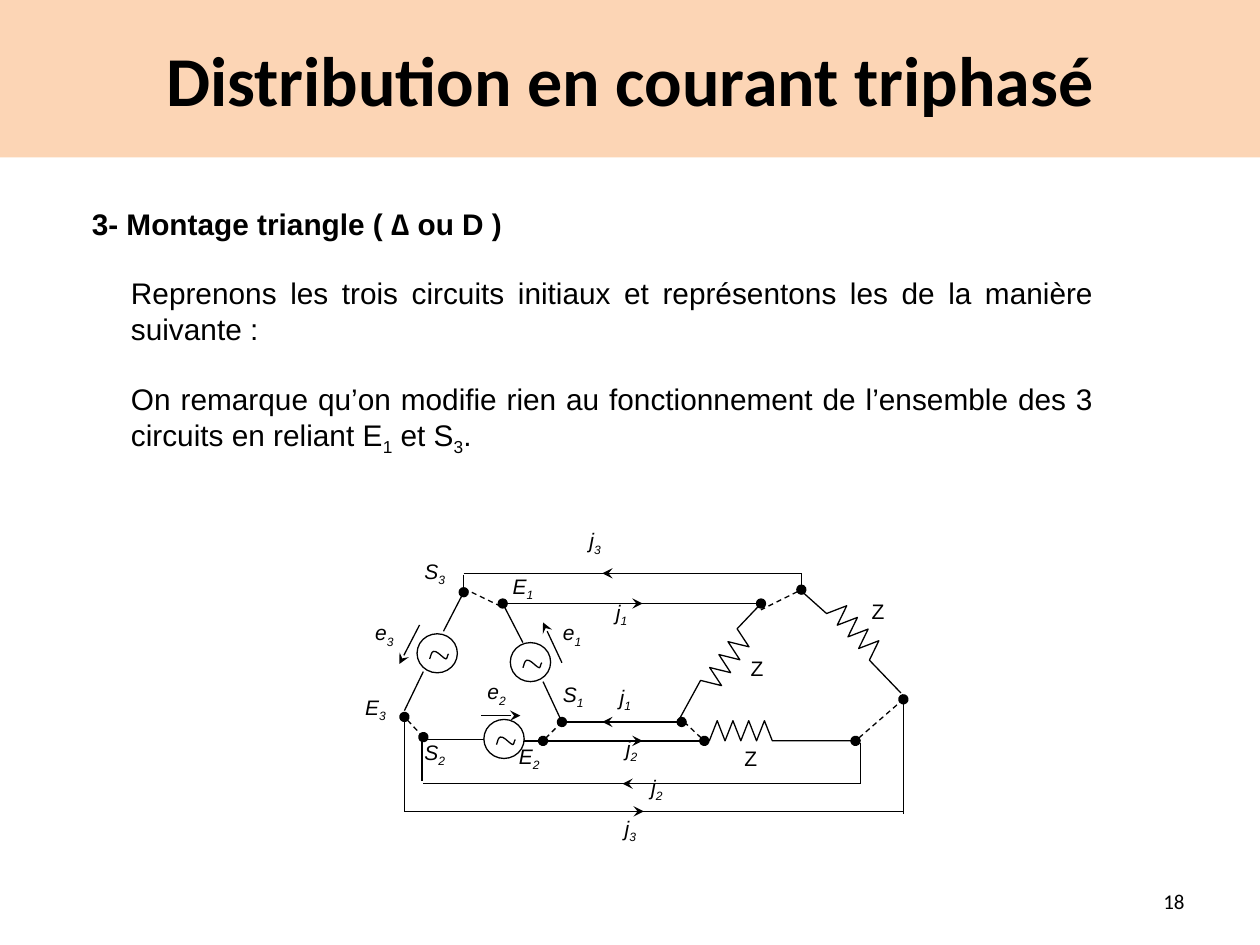
from dataclasses import dataclass
from math import hypot

from lxml.etree import SubElement
from pptx import Presentation
from pptx.dml.color import RGBColor
from pptx.enum.dml import MSO_LINE
from pptx.enum.shapes import MSO_CONNECTOR, MSO_SHAPE
from pptx.enum.text import MSO_ANCHOR, PP_ALIGN
from pptx.oxml.ns import qn
from pptx.util import Cm, Pt


@dataclass(frozen=True)
class Theme:
    ink: RGBColor = RGBColor(0x00, 0x00, 0x00)
    paper: RGBColor = RGBColor(0xFF, 0xFF, 0xFF)
    banner: RGBColor = RGBColor(0xFC, 0xD5, 0xB5)
    heading_font: str = "Calibri"
    body_font: str = "Arial"
    title_size: int = 40
    body_size: int = 17
    label_size: int = 12
    line_width: float = 0.75


@dataclass(frozen=True)
class Wire:
    x1: float
    y1: float
    x2: float
    y2: float
    head: str = ""
    tail: str = ""
    dashed: bool = False


@dataclass(frozen=True)
class Label:
    text: str  # every second part between bars is a subscript
    x: float
    y: float
    w: float = 0.63
    h: float = 0.47
    italic: bool = True


@dataclass(frozen=True)
class Resistor:
    start: tuple
    first: tuple  # where the zigzag begins
    last: tuple  # where the zigzag ends
    end: tuple


THEME = Theme()
TEETH, TOOTH_HEIGHT = 4, 0.16
SOURCE_W, SOURCE_H = 0.32, 0.31


def inch(*values: float) -> list:
    """Diagram units (inches) to lengths."""
    return [Cm(v * 2.54) for v in values]


def write(p, text: str, **fmt) -> None:
    for i, part in enumerate(text.split("|")):
        r = p.add_run()
        r.text = part
        for name, value in fmt.items():
            setattr(r.font, name, value)
        r.font.color.rgb = THEME.ink
        if i % 2:
            r._r.get_or_add_rPr().set("baseline", "-25000")


def add_text(shapes, x: float, y: float, w: float, h: float):
    tf = shapes.add_textbox(*inch(x, y, w, h)).text_frame
    tf.word_wrap = True
    return tf


def set_line(sp) -> None:
    sp.line.color.rgb = THEME.ink
    sp.line.width = Pt(THEME.line_width)


def add_wire(shapes, wire: Wire) -> None:
    sp = shapes.add_connector(MSO_CONNECTOR.STRAIGHT, *inch(wire.x1, wire.y1, wire.x2, wire.y2))
    set_line(sp)
    if wire.dashed:
        sp.line.dash_style = MSO_LINE.DASH
    spPr = sp._element.spPr
    for tag, kind in (("a:headEnd", wire.head), ("a:tailEnd", wire.tail)):
        if kind:
            SubElement(spPr.find(qn("a:ln")), qn(tag), type=kind)
    SubElement(spPr, qn("a:effectLst"))


def add_path(shapes, points: list) -> None:
    pts = [tuple(inch(*pt)) for pt in points]
    builder = shapes.build_freeform(*pts[0])
    builder.add_line_segments(pts[1:], close=False)
    sp = builder.convert_to_shape()
    sp.shadow.inherit = False
    sp.fill.background()
    set_line(sp)


def add_resistor(shapes, res: Resistor) -> None:
    (x, y), (x2, y2) = res.first, res.last
    dx, dy = x2 - x, y2 - y
    k = TOOTH_HEIGHT / hypot(dx, dy)
    zigzag = []
    for i in range(2 * TEETH + 1):
        t, peak = i / (2 * TEETH), k * (i % 2)
        zigzag.append((x + dx * t + dy * peak, y + dy * t - dx * peak))
    add_path(shapes, [res.start, *zigzag, res.end])


def add_source(shapes, x: float, y: float) -> None:
    sp = shapes.add_shape(MSO_SHAPE.OVAL, *inch(x, y, SOURCE_W, SOURCE_H))
    sp.shadow.inherit = False
    sp.fill.solid()
    sp.fill.fore_color.rgb = THEME.paper
    set_line(sp)
    # Sine mark: three Bezier arcs sampled at even steps
    ctrl = [(.10, .20), (.11, .18), (.11, .15), (.13, .14), (.16, .13), (.21, .20),
            (.23, .20), (.24, .20), (.24, .17), (.25, .16)]
    wave = [(x + ctrl[0][0], y + ctrl[0][1])]
    for i in (0, 3, 6):
        for t in (0.2, 0.4, 0.6, 0.8, 1):
            weights = ((1 - t) ** 3, 3 * t * (1 - t) ** 2, 3 * t * t * (1 - t), t ** 3)
            px, py = (sum(w * c[n] for w, c in zip(weights, ctrl[i:i + 4])) for n in (0, 1))
            wave.append((x + px, y + py))
    add_path(shapes, wave)


WIRES = [
    # Line currents and returns
    Wire(3.68, 4.55, 6.36, 4.55), Wire(3.68, 4.56, 3.68, 4.72), Wire(6.36, 4.55, 6.36, 4.71),
    Wire(3.99, 4.79, 6.04, 4.79, "oval", "oval"),
    Wire(4.47, 5.73, 5.41, 5.73, tail="oval"),
    Wire(4.15, 5.88, 5.57, 5.88),
    Wire(6.83, 5.9, 6.83, 6.22), Wire(3.35, 5.88, 3.35, 6.2), Wire(3.36, 6.22, 6.83, 6.22),
    Wire(7.17, 6.44, 3.21, 6.44), Wire(3.21, 5.66, 3.21, 6.44), Wire(7.17, 5.52, 7.17, 6.46),
    # Leads of the sources
    Wire(3.68, 4.7, 3.52, 5.01, head="oval"), Wire(3.36, 5.33, 3.21, 5.64),
    Wire(3.99, 4.79, 4.15, 5.1), Wire(4.31, 5.41, 4.46, 5.73, tail="oval"),
    Wire(3.36, 5.87, 3.84, 5.87),
    # Links between neighbouring circuits
    Wire(3.21, 5.69, 3.36, 5.85, "oval", "oval", True),
    Wire(6.79, 5.88, 7.17, 5.55, "oval", "oval", True),
    Wire(3.68, 4.67, 3.99, 4.82, dashed=True),
    Wire(6.36, 4.68, 6.04, 4.84, head="oval", dashed=True),
    Wire(4.46, 5.73, 4.31, 5.88, tail="oval", dashed=True),
    Wire(5.43, 5.73, 5.59, 5.88, tail="oval", dashed=True),
]
# Directions of currents and voltages
ARROWS = [(5.72, 6.22, 4.94, 6.22), (4.47, 5.88, 5.1, 5.88), (3.82, 5.68, 4.13, 5.68),
          (3.33, 4.96, 3.17, 5.27), (4.46, 5.26, 4.31, 4.94), (4.62, 4.79, 5.1, 4.79),
          (5.25, 4.55, 4.78, 4.55), (4.48, 6.44, 5.11, 6.44), (5.25, 5.73, 4.78, 5.73)]
RESISTORS = [
    Resistor((6.37, 4.7), (6.56, 4.87), (6.9, 5.24), (7.15, 5.5)),
    Resistor((6.04, 4.79), (5.85, 4.99), (5.56, 5.4), (5.39, 5.71)),
    Resistor((5.57, 5.88), (5.63, 5.88), (6.13, 5.88), (6.83, 5.88)),
]
SOURCES = [(3.31, 5.03), (4.05, 5.1), (3.84, 5.71)]
LABELS = [
    Label("j|3", 4.58, 4.14), Label("j|1", 4.79, 4.71), Label("j|1", 4.82, 5.38),
    Label("j|3", 4.86, 6.42), Label("j|2", 5.07, 6.1), Label("j|2", 4.87, 5.79),
    Label("E|1", 3.97, 4.5), Label("E|2", 4.02, 5.85), Label("E|3", 2.8, 5.46),
    Label("S|1", 4.37, 5.36), Label("S|2", 3.27, 5.82), Label("S|3", 3.27, 4.38),
    Label("e|1", 4.37, 4.87), Label("e|2", 3.77, 5.34), Label("e|3", 2.88, 4.87),
    Label("Z", 5.86, 5.15, 0.47, italic=False), Label("Z", 6.82, 4.7, 0.47, italic=False),
    Label("Z", 5.81, 5.87, 0.58, 0.36, italic=False),
]
BODY = [
    "3- Montage triangle ( ∆ ou D )",
    "Reprenons les trois circuits initiaux et représentons les de la manière suivante\u00a0:",
    "On remarque qu’on modifie rien au fonctionnement de l’ensemble des 3 circuits "
    "en reliant E|1| et S|3|.",
]


def main() -> None:
    prs = Presentation()
    prs.slide_width, prs.slide_height = inch(10, 7.5)
    s = prs.slides.add_slide(prs.slide_layouts[5])

    # Title banner
    title = s.shapes.title
    title.left, title.top, title.width, title.height = inch(0, 0, 10, 1.25)
    title.fill.solid()
    title.fill.fore_color.rgb = THEME.banner
    title.text_frame.vertical_anchor = MSO_ANCHOR.MIDDLE
    p = title.text_frame.paragraphs[0]
    p.alignment = PP_ALIGN.CENTER
    write(p, "Distribution en courant triphasé", name=THEME.heading_font,
          size=Pt(THEME.title_size), bold=True)

    # Body: a bold heading, then indented paragraphs one line apart
    tf = add_text(s.shapes, 0.63, 1.58, 8.15, 2.68)
    for i, text in enumerate(BODY):
        p = tf.add_paragraph() if i else tf.paragraphs[0]
        p.alignment = PP_ALIGN.JUSTIFY
        if i:
            p.space_before = Pt(19.5)
            p._p.get_or_add_pPr().set("marL", str(Cm(0.79)))
        write(p, text, name=THEME.body_font, size=Pt(THEME.body_size), bold=not i)

    # Circuit diagram
    circuit = s.shapes.add_group_shape().shapes
    for wire in WIRES + [Wire(*ends, tail="stealth") for ends in ARROWS]:
        add_wire(circuit, wire)
    for res in RESISTORS:
        add_resistor(circuit, res)
    for x, y in SOURCES:
        add_source(circuit, x, y)
    for lab in LABELS:
        tf = add_text(circuit, lab.x, lab.y, lab.w, lab.h)
        write(tf.paragraphs[0], lab.text, name=THEME.body_font,
              size=Pt(THEME.label_size), italic=lab.italic)

    # Page number
    tf = add_text(s.shapes, 7.17, 6.95, 2.33, 0.4)
    tf.vertical_anchor = MSO_ANCHOR.MIDDLE
    tf.paragraphs[0].alignment = PP_ALIGN.RIGHT
    write(tf.paragraphs[0], "18", name=THEME.heading_font, size=Pt(THEME.label_size))

    prs.save("out.pptx")


if __name__ == "__main__":
    main()
